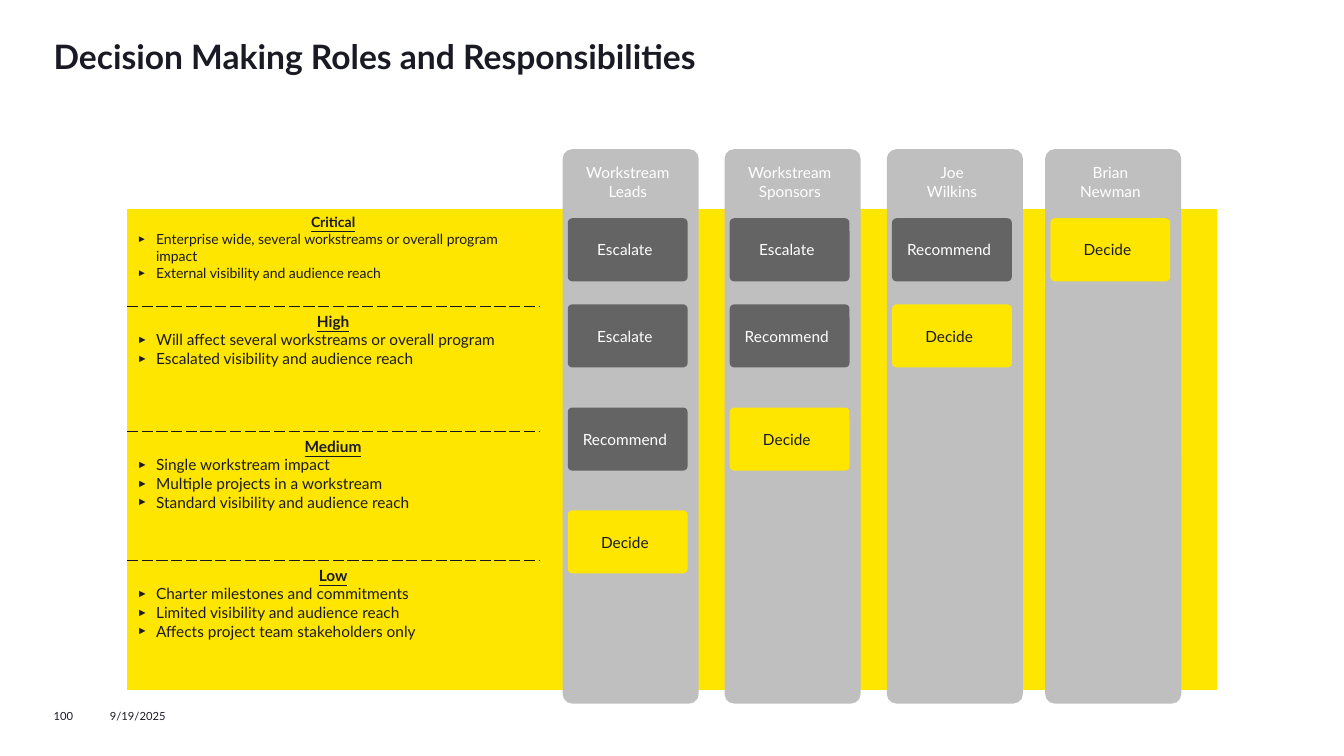
from lxml import etree
from pptx import Presentation
from pptx.dml.color import RGBColor
from pptx.enum.shapes import MSO_SHAPE as SHAPE
from pptx.enum.text import MSO_ANCHOR as ANCHOR, PP_ALIGN as ALIGN
from pptx.oxml.ns import qn
from pptx.util import Cm, Pt

INK = RGBColor(0x1A, 0x1A, 0x24)
RULE = RGBColor(0x16, 0x16, 0x1F)
YELLOW = RGBColor(0xFF, 0xE6, 0x00)
SILVER = RGBColor(0xBF, 0xBF, 0xBF)
GREY = RGBColor(0x64, 0x64, 0x64)
WHITE = RGBColor(0xFF, 0xFF, 0xFF)

# Impact levels: name, text size, row height, criteria
LEVELS = [
    ("Critical", 10, 2.46, ["Enterprise wide, several workstreams or overall program impact",
                            "External visibility and audience reach"]),
    ("High", 11, 3.15, ["Will affect several workstreams or overall program",
                        "Escalated visibility and audience reach"]),
    ("Medium", 11, 3.25, ["Single workstream impact",
                          "Multiple projects in a workstream",
                          "Standard visibility and audience reach"]),
    ("Low", 11, 3.25, ["Charter milestones and commitments",
                       "Limited visibility and audience reach",
                       "Affects project team stakeholders only"]),
]
# Roles: column left, heading lines
ROLES = [
    (14.18, ["Workstream", "Leads"]),
    (18.26, ["Workstream", "Sponsors"]),
    (22.35, ["Joe", "Wilkins"]),
    (26.34, ["Brian", "Newman"]),
]
# Actions: row top, one action per role
ACTIONS = [
    (5.5, ["Escalate", "Escalate", "Recommend", "Decide"]),
    (7.67, ["Escalate", "Recommend", "Decide"]),
    (10.27, ["Recommend", "Decide"]),
    (12.86, ["Decide"]),
]


class Deck:
    font = "Lato"

    def __init__(self, width, height):
        self.prs = Presentation()
        self.prs.slide_width, self.prs.slide_height = Cm(width), Cm(height)
        self.s = self.prs.slides.add_slide(self.prs.slide_layouts[6])

    def run(self, p, text, size, color=INK, bold=False, underline=False):
        r = p.add_run()
        r.text = text
        r.font.name, r.font.size = self.font, Pt(size)
        r.font.bold, r.font.underline = bold, underline
        r.font.color.rgb = color

    def text(self, x, y, w, h, text, size, bold=False, spacing=1.0):
        tf = self.s.shapes.add_textbox(Cm(x), Cm(y), Cm(w), Cm(h)).text_frame
        tf.word_wrap = True
        tf.margin_left = tf.margin_right = tf.margin_top = tf.margin_bottom = 0
        p = tf.paragraphs[0]
        p.line_spacing = spacing
        self.run(p, text, size, bold=bold)

    def card(self, x, y, w, h, lines, fill, color, anchor, top=0):
        sp = self.s.shapes.add_shape(SHAPE.ROUNDED_RECTANGLE, Cm(x), Cm(y), Cm(w), Cm(h))
        sp.adjustments[0] = 0.07
        sp.shadow.inherit = False
        sp.fill.solid()
        sp.fill.fore_color.rgb = fill
        sp.line.fill.background()
        tf = sp.text_frame
        tf.word_wrap = True
        tf.vertical_anchor = anchor
        tf.margin_left, tf.margin_right = 0, Cm(0.14)
        tf.margin_top, tf.margin_bottom = Cm(top), 0
        for i, line in enumerate(lines):
            p = tf.add_paragraph() if i else tf.paragraphs[0]
            p.alignment = ALIGN.CENTER
            self.run(p, line, 11, color)

    def bullet(self, p):
        pPr = p._p.get_or_add_pPr()
        pPr.set("marL", str(Cm(0.48)))
        pPr.set("indent", str(-Cm(0.48)))
        color = etree.SubElement(pPr, qn("a:buClr"))
        etree.SubElement(color, qn("a:srgbClr"), val=str(INK))
        etree.SubElement(pPr, qn("a:buSzPct"), val="70000")
        etree.SubElement(pPr, qn("a:buFont"), typeface="Arial")
        etree.SubElement(pPr, qn("a:buChar"), char="►")

    def borders(self, cell, dashed):
        tcPr = cell._tc.get_or_add_tcPr()
        for i, side in enumerate(["lnL", "lnR", "lnT", "lnB"]):
            ln = etree.Element(qn(f"a:{side}"), w=str(Pt(1)))
            tcPr.insert(i, ln)
            if side in dashed:
                fill = etree.SubElement(ln, qn("a:solidFill"))
                etree.SubElement(fill, qn("a:srgbClr"), val=str(RULE))
                etree.SubElement(ln, qn("a:prstDash"), val="sysDash")
            else:
                etree.SubElement(ln, qn("a:noFill"))

    def level_table(self, x, y, widths, levels):
        height = sum(level[2] for level in levels)
        table = self.s.shapes.add_table(len(levels), len(widths), Cm(x), Cm(y),
                                        Cm(sum(widths)), Cm(height)).table
        table.first_row = table.horz_banding = False
        for column, width in zip(table.columns, widths):
            column.width = Cm(width)
        for i, (name, size, row_height, criteria) in enumerate(levels):
            table.rows[i].height = Cm(row_height)
            dashed = {"lnT"} if i else set()
            if i < len(levels) - 1:
                dashed.add("lnB")
            for j, cell in enumerate(table.rows[i].cells):
                cell.fill.solid()
                cell.fill.fore_color.rgb = YELLOW
                self.borders(cell, set() if j else dashed)
            tf = table.cell(i, 0).text_frame
            p = tf.paragraphs[0]
            p.alignment = ALIGN.CENTER
            self.run(p, name, size, bold=True, underline=True)
            for criterion in criteria:
                p = tf.add_paragraph()
                self.bullet(p)
                self.run(p, criterion, size)


def main():
    deck = Deck(33.87, 19.05)

    # Title and footer
    deck.text(1.35, 1.07, 31.19, 1.78, "Decision Making Roles and Responsibilities",
              24, bold=True, spacing=0.85)
    deck.text(1.35, 17.88, 1.42, 0.33, "100", 8)
    deck.text(2.77, 17.88, 3.56, 0.33, "9/19/2025", 8)

    # Impact levels
    deck.level_table(3.2, 5.27, [10.39, 17.09], LEVELS)

    # Role columns
    for left, heading in ROLES:
        deck.card(left, 3.76, 3.43, 13.97, heading, SILVER, WHITE, ANCHOR.TOP, top=0.29)

    # Action of each role at each level
    for top, actions in ACTIONS:
        for (left, _), action in zip(ROLES, actions):
            fill, color = (YELLOW, INK) if action == "Decide" else (GREY, WHITE)
            deck.card(left + 0.13, top, 3.02, 1.59, [action], fill, color, ANCHOR.MIDDLE)

    deck.prs.save("out.pptx")


if __name__ == "__main__":
    main()
